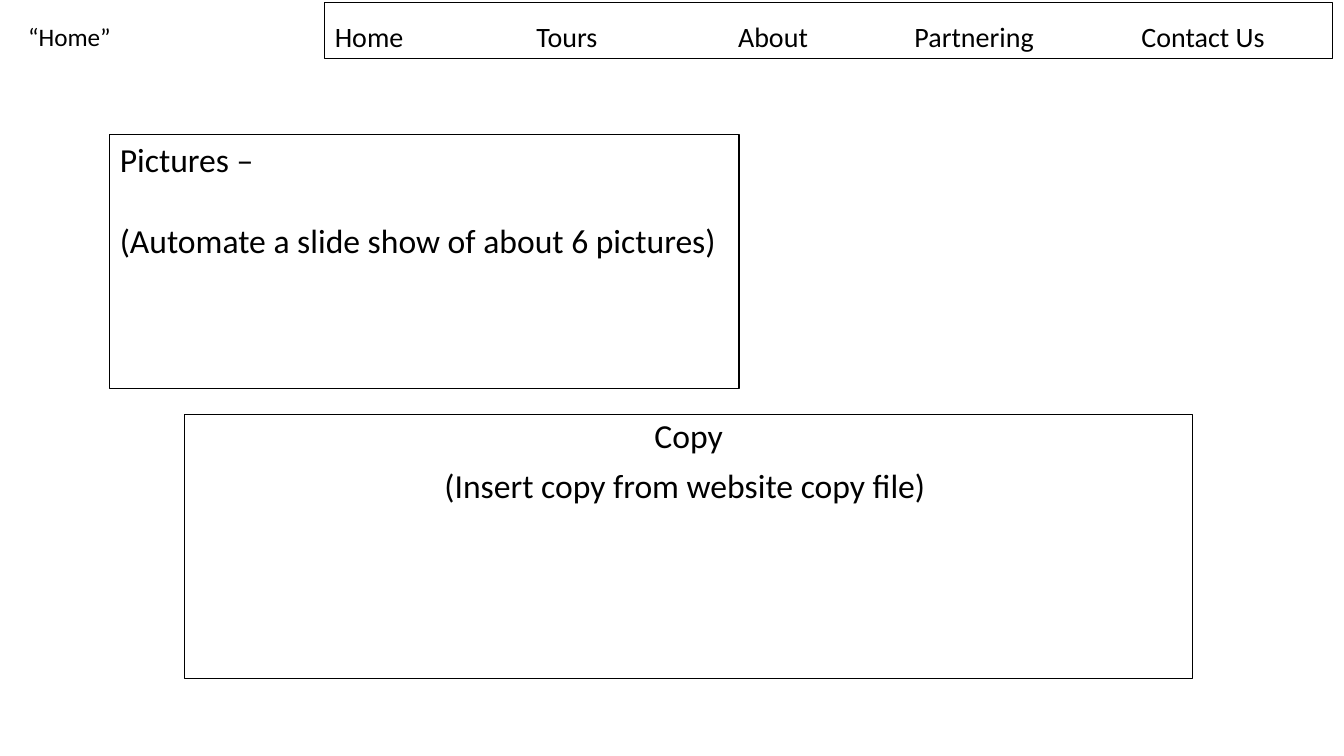
from lxml import etree
from pptx import Presentation
from pptx.dml.color import RGBColor
from pptx.enum.shapes import MSO_SHAPE
from pptx.enum.text import MSO_ANCHOR, MSO_AUTO_SIZE, PP_ALIGN
from pptx.oxml.ns import qn
from pptx.util import Emu, Pt

PX = 9144
COLORS = {"ink": "000000", "paper": "FFFFFF"}
NAV_ITEMS = ["Home", "Tours", "About", "Partnering", "Contact Us"]
NAV_STOPS = [200, 400, 575, 800]


def px(length):
    return Emu(length * PX)


def color(name):
    return RGBColor.from_string(COLORS[name])


def place(shape, box):
    shape.left, shape.top, shape.width, shape.height = map(px, box)


def outline(shape):
    shape.fill.background()
    shape.line.color.rgb = color("ink")
    shape.line.width = Pt(0.75)


def write(shape, lines, size=24, align=PP_ALIGN.LEFT, anchor=MSO_ANCHOR.TOP,
          spacing=1.0, gap=0):
    frame = shape.text_frame
    frame.word_wrap = True
    frame.auto_size = MSO_AUTO_SIZE.NONE
    frame.vertical_anchor = anchor
    frame.margin_left = frame.margin_right = px(10)
    frame.margin_top = frame.margin_bottom = px(5)
    for index, line in enumerate(lines):
        paragraph = frame.add_paragraph() if index else frame.paragraphs[0]
        paragraph.alignment = align
        paragraph.line_spacing = spacing
        paragraph.space_before = Pt(gap if index else 0)
        run = paragraph.add_run()
        run.text = line
        run.font.name = "Calibri"
        run.font.size = Pt(size)
        run.font.color.rgb = color("ink")


def set_tab_stops(paragraph, stops):
    properties = paragraph._p.get_or_add_pPr()
    tab_list = etree.SubElement(properties, qn("a:tabLst"))
    for stop in stops:
        etree.SubElement(tab_list, qn("a:tab"), pos=str(px(stop)), algn="l")


def add_navigation(slide, box):
    title = slide.shapes.title
    place(title, box)
    outline(title)
    write(title, ["\t".join(NAV_ITEMS)], size=20, anchor=MSO_ANCHOR.BOTTOM, spacing=0.9)
    set_tab_stops(title.text_frame.paragraphs[0], NAV_STOPS)


def add_panel(slide, box, lines, **text_format):
    panel = slide.shapes.add_shape(MSO_SHAPE.RECTANGLE, *map(px, box))
    panel.shadow.inherit = False
    outline(panel)
    write(panel, lines, **text_format)


def add_page_label(slide, box):
    label = slide.shapes.add_textbox(*map(px, box))
    write(label, ["“Home”"], size=18)


def build_wireframe(presentation):
    slide = presentation.slides.add_slide(presentation.slide_layouts[5])
    slide.background.fill.solid()
    slide.background.fill.fore_color.rgb = color("paper")
    add_navigation(slide, (322, 2, 1000, 56))
    add_panel(slide, (183, 411, 1000, 262),
              ["Copy", "(Insert copy from website copy file) "],
              align=PP_ALIGN.CENTER, spacing=0.9, gap=10)
    add_panel(slide, (109, 133, 624, 252),
              ["Pictures –", "(Automate a slide show of about 6 pictures)"], gap=29)
    add_page_label(slide, (18, 16, 118, 40))


def main():
    presentation = Presentation()
    presentation.slide_width = px(1333)
    presentation.slide_height = px(750)
    build_wireframe(presentation)
    presentation.save("out.pptx")


if __name__ == "__main__":
    main()
